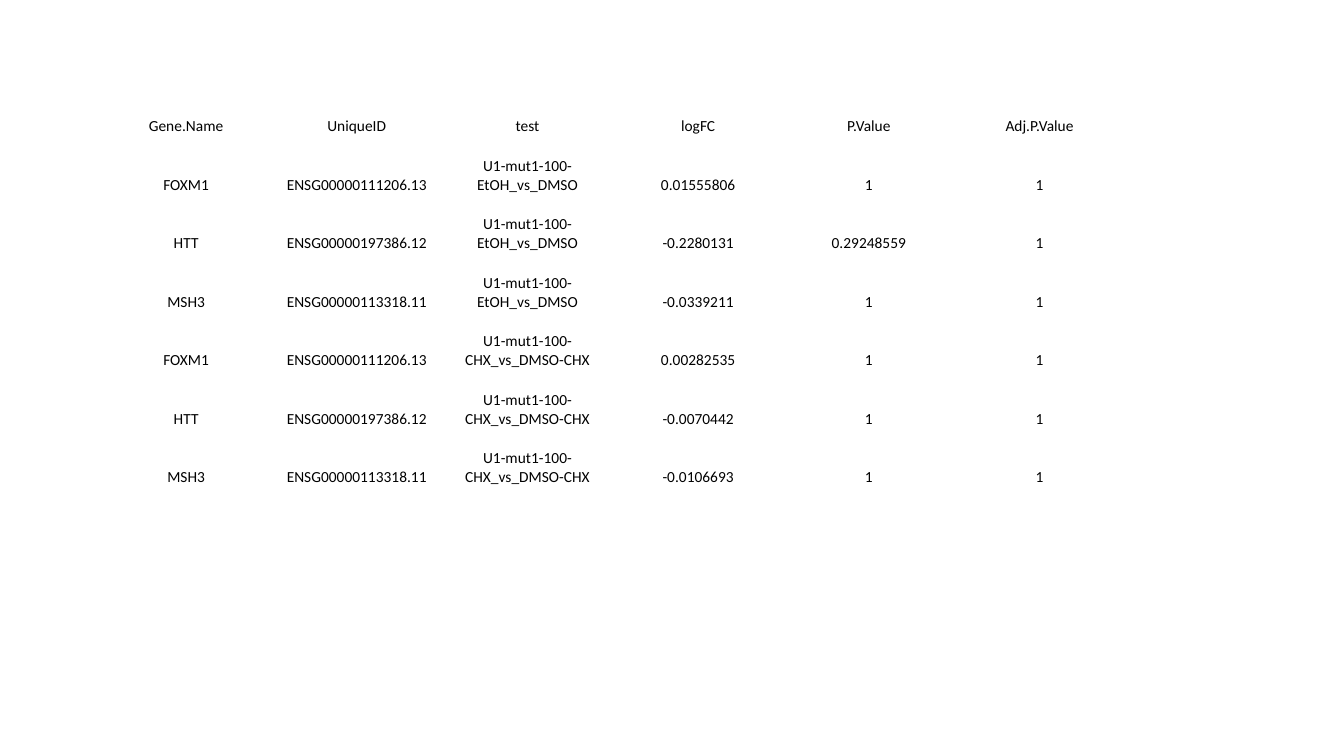
from pptx import Presentation
from pptx.dml.color import RGBColor
from pptx.enum.text import MSO_ANCHOR, PP_ALIGN
from pptx.util import Pt

BOTTOM, CENTER = MSO_ANCHOR.BOTTOM, PP_ALIGN.CENTER
BLACK = RGBColor(0, 0, 0)
PX = 914400 // 300  # 300 px to the inch

COLUMN_WIDTH, HEADER_HEIGHT, ROW_HEIGHT = 508 * PX, 48 * PX, 174 * PX
CELL_FORMAT = {
    "vertical_anchor": BOTTOM,
    "margin_left": 3 * PX,
    "margin_top": 3 * PX,
    "margin_right": 3 * PX,
    "margin_bottom": 0,
}
FONT_FORMAT = {"name": "Calibri", "size": Pt(11), "bold": False}

HEADINGS = ("Gene.Name", "UniqueID", "test", "logFC", "P.Value", "Adj.P.Value")
GENE_IDS = {
    "FOXM1": "ENSG00000111206.13",
    "HTT": "ENSG00000197386.12",
    "MSH3": "ENSG00000113318.11",
}
ETOH_TEST = "U1-mut1-100-EtOH_vs_DMSO"
CHX_TEST = "U1-mut1-100-CHX_vs_DMSO-CHX"
RESULTS = [
    ("FOXM1", ETOH_TEST, "0.01555806", "1", "1"),
    ("HTT", ETOH_TEST, "-0.2280131", "0.29248559", "1"),
    ("MSH3", ETOH_TEST, "-0.0339211", "1", "1"),
    ("FOXM1", CHX_TEST, "0.00282535", "1", "1"),
    ("HTT", CHX_TEST, "-0.0070442", "1", "1"),
    ("MSH3", CHX_TEST, "-0.0106693", "1", "1"),
]
rows = [HEADINGS] + [(gene, GENE_IDS[gene], *values) for gene, *values in RESULTS]

deck = Presentation()
deck.slide_width, deck.slide_height = 4000 * PX, 2250 * PX
page = deck.slides.add_slide(deck.slide_layouts[6])

table = page.shapes.add_table(
    len(rows), len(HEADINGS), 300 * PX, 345 * PX,
    len(HEADINGS) * COLUMN_WIDTH, HEADER_HEIGHT + len(RESULTS) * ROW_HEIGHT,
).table
table.first_row = table.horz_banding = False
for column in table.columns:
    column.width = COLUMN_WIDTH

for row_index, texts in enumerate(rows):
    table.rows[row_index].height = ROW_HEIGHT if row_index else HEADER_HEIGHT
    for column_index, text in enumerate(texts):
        cell = table.cell(row_index, column_index)
        cell.fill.background()
        for name, value in CELL_FORMAT.items():
            setattr(cell, name, value)
        para = cell.text_frame.paragraphs[0]
        para.alignment = CENTER
        span = para.add_run()
        span.text = text
        for name, value in FONT_FORMAT.items():
            setattr(span.font, name, value)
        span.font.color.rgb = BLACK

deck.save("out.pptx")
